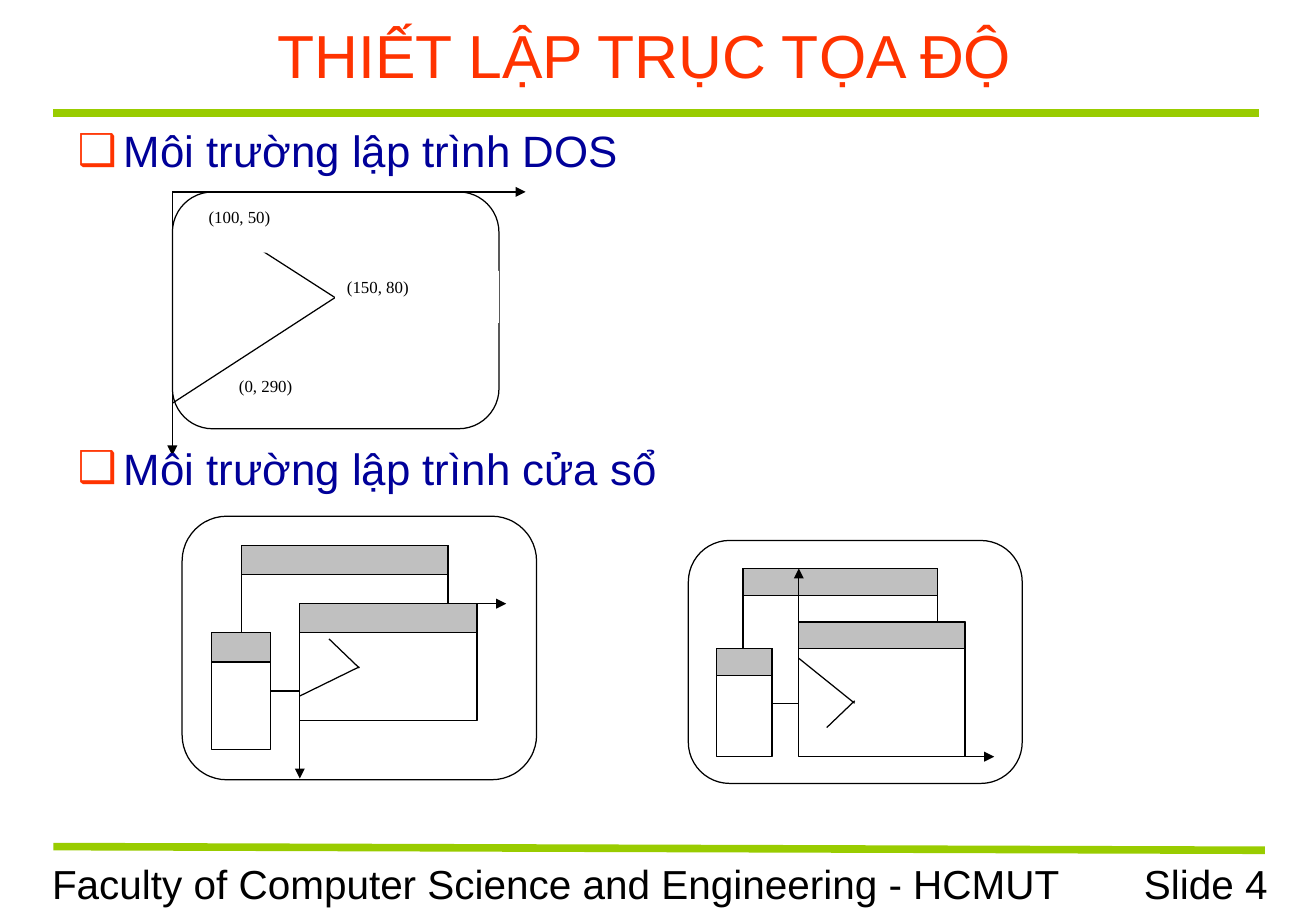
"""Build the slide on setting up coordinate axes in two programming settings."""
from lxml import etree
from pptx import Presentation
from pptx.dml.color import RGBColor
from pptx.enum.shapes import MSO_CONNECTOR, MSO_SHAPE
from pptx.enum.text import MSO_ANCHOR, PP_ALIGN
from pptx.oxml.ns import qn
from pptx.util import Pt

RECTANGLE, ROUNDED = MSO_SHAPE.RECTANGLE, MSO_SHAPE.ROUNDED_RECTANGLE
STRAIGHT = MSO_CONNECTOR.STRAIGHT
LEFT, CENTER, RIGHT = PP_ALIGN.LEFT, PP_ALIGN.CENTER, PP_ALIGN.RIGHT
TOP, MIDDLE = MSO_ANCHOR.TOP, MSO_ANCHOR.MIDDLE
PX = 9144

THEME = {
    "rule": "99CC00", "ink": "000000", "paper": "FFFFFF", "bar": "C0C0C0",
    "bullet": "FF3300", "thin": 0.75, "thick": 4.5,
    "title": {"name": "Arial", "size": Pt(36), "color": "FF3300"},
    "body": {"name": "Arial", "size": Pt(26), "color": "000099"},
    "footer": {"name": "Arial", "size": Pt(24), "color": "000000"},
    "label": {"name": "Times New Roman", "size": Pt(10), "color": "000000"},
}


def add_box(shapes, kind, bounds, fill):
    shape = shapes.add_shape(kind, *(value * PX for value in bounds))
    shape.shadow.inherit = False
    shape.fill.solid()
    shape.fill.fore_color.rgb = RGBColor.from_string(fill)
    shape.line.color.rgb = RGBColor.from_string(THEME["ink"])
    shape.line.width = Pt(THEME["thin"])
    return shape


def add_line(shapes, ends, color, width, arrow=False):
    connector = shapes.add_connector(STRAIGHT, *(value * PX for value in ends))
    connector.line.color.rgb = RGBColor.from_string(color)
    connector.line.width = Pt(width)
    if arrow:
        outline = connector.line._get_or_add_ln()
        etree.SubElement(outline, qn("a:tailEnd"), type="triangle")
    etree.SubElement(connector._element.spPr, qn("a:effectLst"))


presentation = Presentation()
presentation.slide_width = 1084 * PX
presentation.slide_height = 750 * PX
slide = presentation.slides.add_slide(presentation.slide_layouts[6])

for rule in [(44, 93, 1037, 93), (44, 697, 1042, 700)]:
    add_line(slide.shapes, rule, THEME["rule"], THEME["thick"])

texts = [
    (slide.shapes, (855, 702, 199, 50), "footer", RIGHT, TOP, ["Slide 4"]),
    (slide.shapes, (33, 702, 852, 50), "footer", LEFT, TOP,
     ["Faculty of Computer Science and Engineering - HCMUT"]),
    (slide.shapes, (33, 10, 996, 70), "title", CENTER, MIDDLE,
     ["THIẾT LẬP TRỤC TỌA ĐỘ"]),
    (slide.shapes, (54, 97, 975, 592), "body", LEFT, TOP,
     ["Môi trường lập trình DOS", "Môi trường lập trình cửa sổ"]),
]

panels = [
    {
        "screen": (142, 158, 269, 195),
        "bar_height": 0,
        "windows": [],
        "axes": [(142, 158, 433, 158), (142, 158, 142, 375)],
        "strokes": [(209, 202, 276, 245), (276, 245, 142, 332)],
        "labels": [(162, 165, "(100, 50)"), (276, 223, "(150, 80)"),
                   (187, 304, "(0, 290)")],
    },
    {
        "screen": (150, 425, 292, 217),
        "bar_height": 24,
        "windows": [(199, 449, 170, 120), (247, 497, 146, 96),
                    (174, 521, 49, 96)],
        "axes": [(247, 497, 417, 497), (247, 497, 247, 641)],
        "strokes": [(271, 526, 296, 550), (296, 549, 247, 573)],
        "labels": [],
    },
    {
        "screen": (567, 445, 275, 200),
        "bar_height": 22,
        "windows": [(612, 468, 160, 111), (658, 512, 137, 111),
                    (590, 534, 46, 89)],
        "axes": [(658, 623, 819, 623), (658, 601, 658, 468)],
        "strokes": [(658, 542, 704, 579), (704, 577, 681, 599)],
        "labels": [],
    },
]

for panel in panels:
    shapes = slide.shapes.add_group_shape().shapes
    screen = add_box(shapes, ROUNDED, panel["screen"], THEME["paper"])
    screen.adjustments[0] = 0.17
    for left, top, width, height in panel["windows"]:
        add_box(shapes, RECTANGLE, (left, top, width, height), THEME["paper"])
        add_box(shapes, RECTANGLE, (left, top, width, panel["bar_height"]),
                THEME["bar"])
    for axis in panel["axes"]:
        add_line(shapes, axis, THEME["ink"], THEME["thin"], arrow=True)
    for stroke in panel["strokes"]:
        add_line(shapes, stroke, THEME["ink"], THEME["thin"])
    for left, top, label in panel["labels"]:
        texts.append((shapes, (left, top, 135, 43), "label", LEFT, TOP, [label]))

for shapes, bounds, style, alignment, anchor, lines in texts:
    text_box = shapes.add_textbox(*(value * PX for value in bounds))
    text_frame = text_box.text_frame
    text_frame.word_wrap = True
    text_frame.vertical_anchor = anchor
    if style == "label":
        text_box.fill.solid()
        text_box.fill.fore_color.rgb = RGBColor.from_string(THEME["paper"])
    for index, line in enumerate(lines):
        paragraph = text_frame.paragraphs[0] if index == 0 else text_frame.add_paragraph()
        paragraph.alignment = alignment
        if index:
            paragraph.space_before = Pt(157)
        if style == "body":
            properties = paragraph._p.get_or_add_pPr()
            properties.set("marL", str(38 * PX))
            properties.set("indent", str(-38 * PX))
            bullet_color = etree.SubElement(properties, qn("a:buClr"))
            etree.SubElement(bullet_color, qn("a:srgbClr"), val=THEME["bullet"])
            etree.SubElement(properties, qn("a:buFont"), typeface=THEME["body"]["name"])
            etree.SubElement(properties, qn("a:buChar"), char="❑")
        run = paragraph.add_run()
        run.text = line
        for name, value in THEME[style].items():
            if name == "color":
                run.font.color.rgb = RGBColor.from_string(value)
            else:
                setattr(run.font, name, value)

presentation.save("out.pptx")
